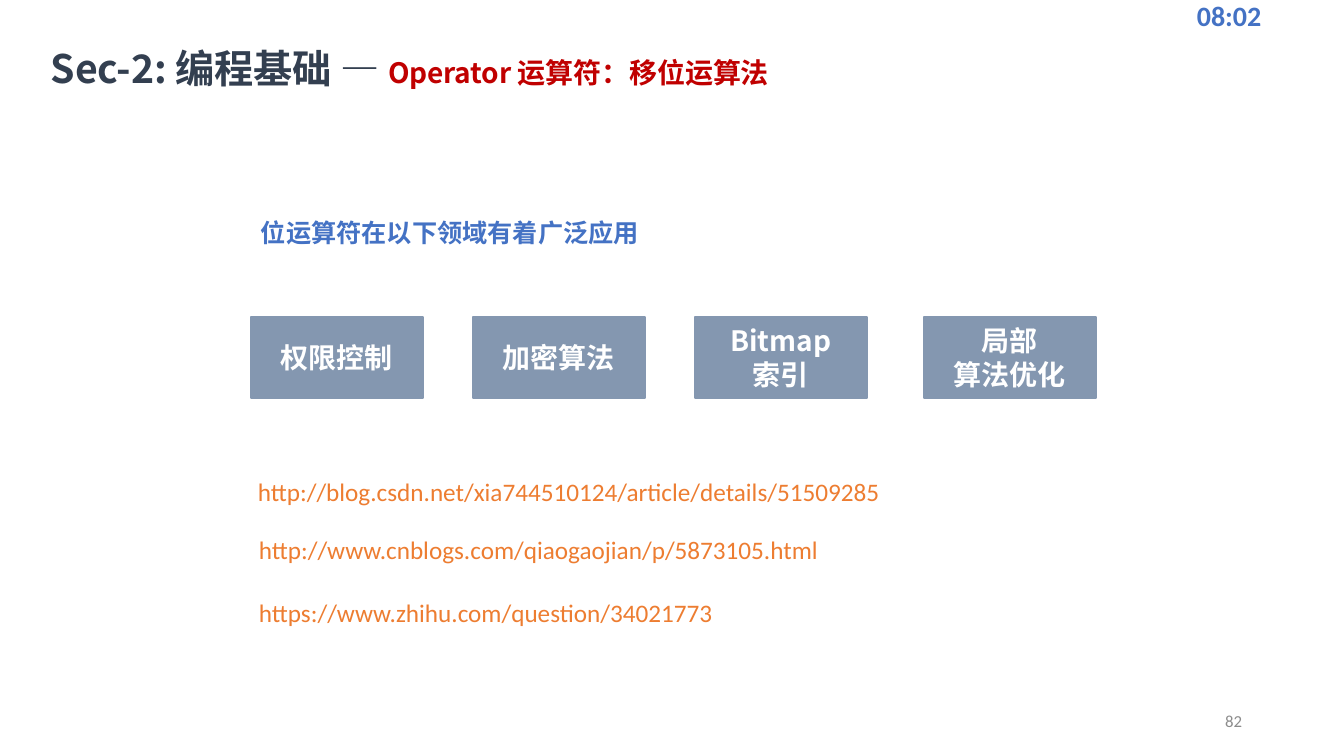
from lxml.etree import SubElement
from pptx import Presentation
from pptx.dml.color import RGBColor
from pptx.enum.shapes import MSO_SHAPE
from pptx.enum.text import MSO_ANCHOR, PP_ALIGN
from pptx.oxml.ns import qn
from pptx.util import Emu, Pt

PX = 914400 / 100.8
SANS, LATIN = "Noto Sans CJK SC", "Calibri"
NAVY = RGBColor(0x33, 0x3F, 0x50)
RED = RGBColor(0xC0, 0x00, 0x00)
BLUE = RGBColor(0x44, 0x72, 0xC4)
SLATE = RGBColor(0x84, 0x97, 0xB0)
ORANGE = RGBColor(0xED, 0x7D, 0x31)
GREY = RGBColor(0x8C, 0x8C, 0x8C)
WHITE = RGBColor(0xFF, 0xFF, 0xFF)

TITLE = "Sec-2: 编程基础 — "
SUBTITLE = "Operator 运算符：移位运算法"
CLOCK = "08:02"
PAGE = "82"
HEADING = "位运算符在以下领域有着广泛应用"
FIELDS = [
    (251, ["权限控制"]),
    (473, ["加密算法"]),
    (695, ["Bitmap", "索引"]),
    (924, ["局部", "算法优化"]),
]
FIELD_TOP, FIELD_W, FIELD_H = 317, 172, 81
LINKS = [
    (248, 471, "http://blog.csdn.net/xia744510124/article/details/51509285"),
    (249, 529, "http://www.cnblogs.com/qiaogaojian/p/5873105.html"),
    (249, 592, "https://www.zhihu.com/question/34021773"),
]


def px(*lengths):
    return [Emu(round(n * PX)) for n in lengths]


def add_text(p, text, size, color, font=SANS, bold=False, align=PP_ALIGN.LEFT, spacing=None):
    """Append a run to paragraph p, with one typeface for Latin and Chinese."""
    p.alignment = align
    r = p.add_run()
    r.text = text
    r.font.size, r.font.bold, r.font.name = Pt(size), bold, font
    r.font.color.rgb = color
    rPr = r.font._element
    SubElement(rPr, qn("a:ea")).set("typeface", font)
    if spacing is not None:
        rPr.set("spc", str(spacing))


def add_label(slide, box, text, size, color, anchor=MSO_ANCHOR.TOP, **fmt):
    tf = slide.shapes.add_textbox(*px(*box)).text_frame
    tf.word_wrap = True
    tf.vertical_anchor = anchor
    add_text(tf.paragraphs[0], text, size, color, **fmt)


def add_title(slide):
    sp = slide.shapes.title
    sp.left, sp.top, sp.width, sp.height = px(50, 42, 772, 49)
    tf = sp.text_frame
    tf.word_wrap = True
    tf.vertical_anchor = MSO_ANCHOR.TOP
    tf.margin_left, tf.margin_top, tf.margin_right, tf.margin_bottom = px(1, 2, 0, 0)
    p = tf.paragraphs[0]
    add_text(p, TITLE, 28, NAVY, bold=True, spacing=-10)
    add_text(p, SUBTITLE, 20, RED, bold=True, spacing=-10)


def add_field(slide, left, lines):
    sp = slide.shapes.add_shape(MSO_SHAPE.RECTANGLE, *px(left, FIELD_TOP, FIELD_W, FIELD_H))
    sp.shadow.inherit = False
    sp.fill.solid()
    sp.fill.fore_color.rgb = SLATE
    sp.line.color.rgb = SLATE
    sp.line.width = Pt(1)
    tf = sp.text_frame
    tf.vertical_anchor = MSO_ANCHOR.MIDDLE
    for i, line in enumerate(lines):
        p = tf.add_paragraph() if i else tf.paragraphs[0]
        add_text(p, line, 20, WHITE, bold=True, align=PP_ALIGN.CENTER)


def main():
    prs = Presentation()
    prs.slide_width, prs.slide_height = px(1344, 756)
    slide = prs.slides.add_slide(prs.slide_layouts[5])
    add_title(slide)
    add_label(slide, (1187, -5, 157, 40), CLOCK, 20, BLUE,
              anchor=MSO_ANCHOR.MIDDLE, font=LATIN, bold=True)
    add_label(slide, (950, 701, 302, 40), PAGE, 12, GREY,
              anchor=MSO_ANCHOR.MIDDLE, font=LATIN, align=PP_ALIGN.RIGHT)
    add_label(slide, (251, 212, 453, 40), HEADING, 18, BLUE, bold=True)
    for left, lines in FIELDS:
        add_field(slide, left, lines)
    for left, top, link in LINKS:
        add_label(slide, (left, top, 676, 40), link, 18, ORANGE, font=LATIN)
    prs.save("out.pptx")


if __name__ == "__main__":
    main()
